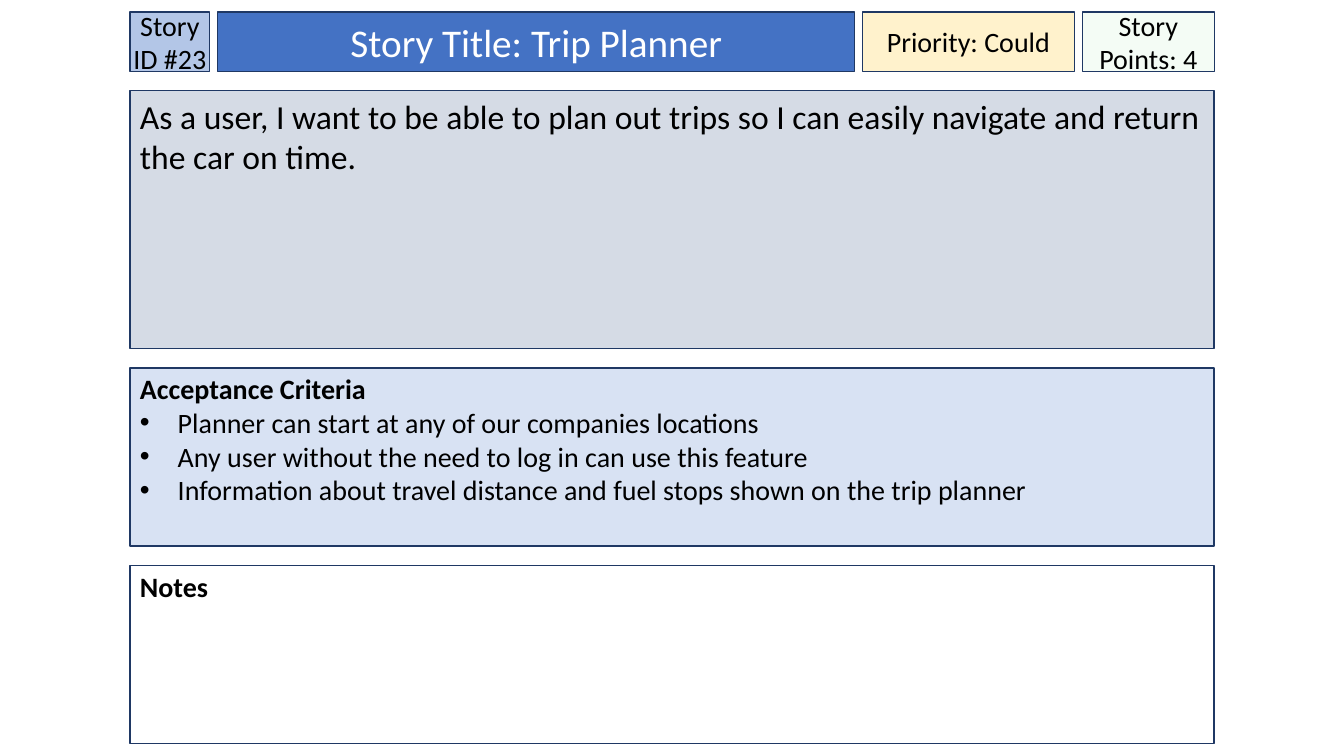
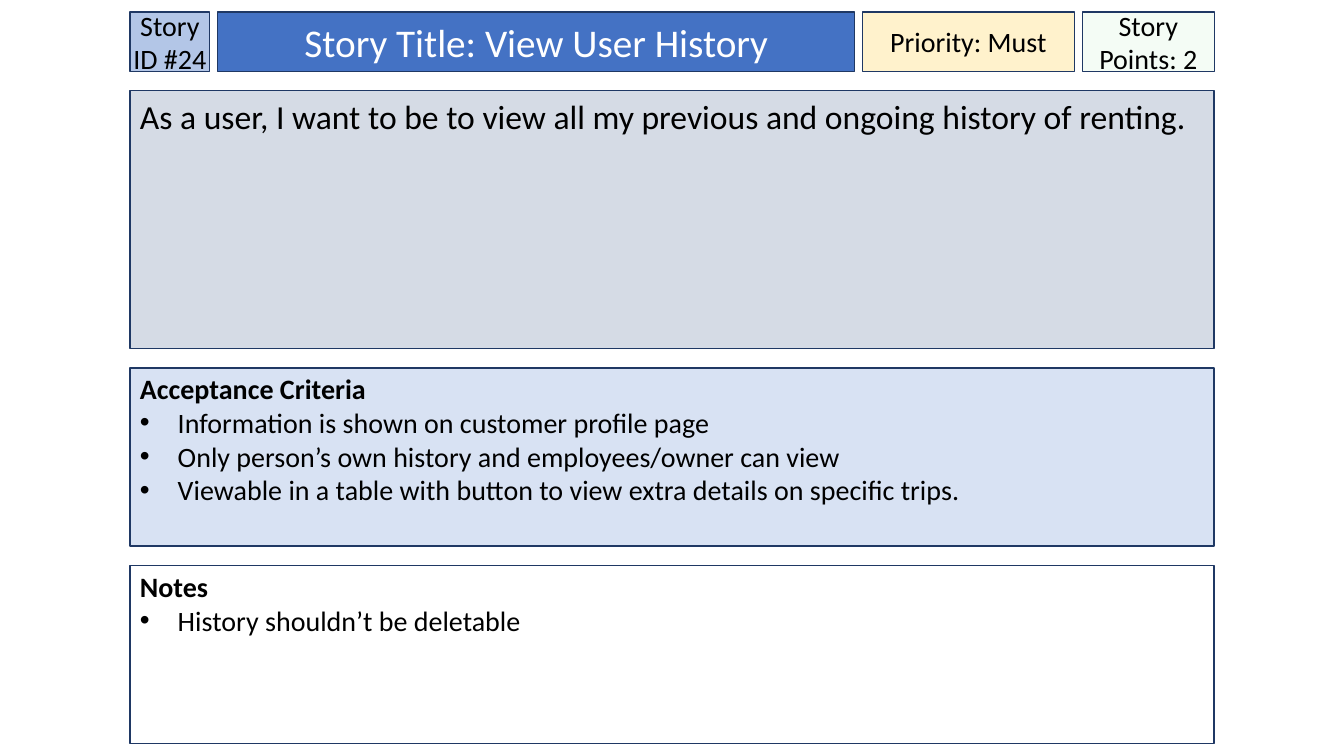
from lxml import etree
from pptx import Presentation
from pptx.dml.color import RGBColor
from pptx.enum import shapes, text
from pptx.oxml import ns
from pptx.util import Pt

NAVY, BLACK, WHITE = "1F3864", "000000", "FFFFFF"
LEFT, WIDTH = 92.9, 774.2
HEADER_TOP, HEADER_HEIGHT, HEADER_GAP = 8.6, 42.5, 5.7
PANEL_TOP, PANEL_GAP = 64.8, 13.7
BULLET_INDENT = 27

HEADER_STYLES = [
    (56.9, "B3C6E7", 20, BLACK, 0),
    (455, "4472C4", 28, WHITE, 7.2),
    (151.2, "FFF2CC", 20, BLACK, 0),
    (94.3, "CCF0CD", 20, BLACK, 0),
]
PANEL_STYLES = [
    (184.3, "D5DBE5", 24, False, 3.6),
    (127.4, "D8E2F3", 20, True, 2.9),
    (127.4, WHITE, 20, True, 2.9),
]
STORIES = [
    {
        "header": ["Story ID #23", "Story Title: Trip Planner",
                   "Priority: Could", "Story Points: 4"],
        "panels": [
            ["As a user, I want to be able to plan out trips so I can "
             "easily navigate and return the car on time."],
            ["Acceptance Criteria",
             "Planner can start at any of our companies locations",
             "Any user without the need to log in can use this feature",
             "Information about travel distance and fuel stops shown on the trip planner"],
            ["Notes"],
        ],
    },
    {
        "header": ["Story ID #24", "Story Title: View User History",
                   "Priority: Must", "Story Points: 2"],
        "panels": [
            ["As a user, I want to be to view all my previous and ongoing history of renting."],
            ["Acceptance Criteria",
             "Information is shown on customer profile page",
             "Only person’s own history and employees/owner can view",
             "Viewable in a table with button to view extra details on specific trips."],
            ["Notes", "History shouldn’t be deletable"],
        ],
    },
]


def rgb(value):
    return RGBColor.from_string(value)


def add_box(slide, bounds, fill, lines, size, color, side, top, anchor, align):
    box = slide.shapes.add_shape(shapes.MSO_SHAPE.RECTANGLE, *map(Pt, bounds))
    box.shadow.inherit = False
    box.fill.solid()
    box.fill.fore_color.rgb = rgb(fill)
    box.line.color.rgb = rgb(NAVY)
    box.line.width = Pt(1)
    frame = box.text_frame
    frame.word_wrap = True
    frame.vertical_anchor = anchor
    frame.margin_left = frame.margin_right = Pt(side)
    frame.margin_top, frame.margin_bottom = Pt(top), Pt(3.6)
    frame.text = "\n".join(lines)
    for paragraph in frame.paragraphs:
        paragraph.alignment = align
        font = paragraph.runs[0].font
        font.name, font.size = "Calibri", Pt(size)
        font.color.rgb = rgb(color)
    return box


deck = Presentation()
deck.slide_width, deck.slide_height = Pt(960), Pt(540)

for story in STORIES:
    slide = deck.slides.add_slide(deck.slide_layouts[6])

    x = LEFT
    for label, (width, fill, size, color, side) in zip(story["header"], HEADER_STYLES):
        cell = add_box(slide, (x, HEADER_TOP, width, HEADER_HEIGHT), fill, [label],
                       size, color, side, 3.6, text.MSO_ANCHOR.MIDDLE, text.PP_ALIGN.CENTER)
        x += width + HEADER_GAP
    points_fill = cell.fill._xPr.find(".//" + ns.qn("a:srgbClr"))
    etree.SubElement(points_fill, ns.qn("a:alpha"), val="20000")

    y = PANEL_TOP
    for lines, (height, fill, size, headed, top) in zip(story["panels"], PANEL_STYLES):
        panel = add_box(slide, (LEFT, y, WIDTH, height), fill, lines,
                        size, BLACK, 7.2, top, text.MSO_ANCHOR.TOP, text.PP_ALIGN.LEFT)
        heading, *items = panel.text_frame.paragraphs
        heading.runs[0].font.bold = headed
        for item in items:
            properties = item._p.get_or_add_pPr()
            properties.set("marL", str(Pt(BULLET_INDENT)))
            properties.set("indent", str(-Pt(BULLET_INDENT)))
            bullet_color = etree.SubElement(properties, ns.qn("a:buClr"))
            etree.SubElement(bullet_color, ns.qn("a:srgbClr"), val=BLACK)
            etree.SubElement(properties, ns.qn("a:buFont"), typeface="Arial")
            etree.SubElement(properties, ns.qn("a:buChar"), char="•")
        y += height + PANEL_GAP

deck.save("out.pptx")
